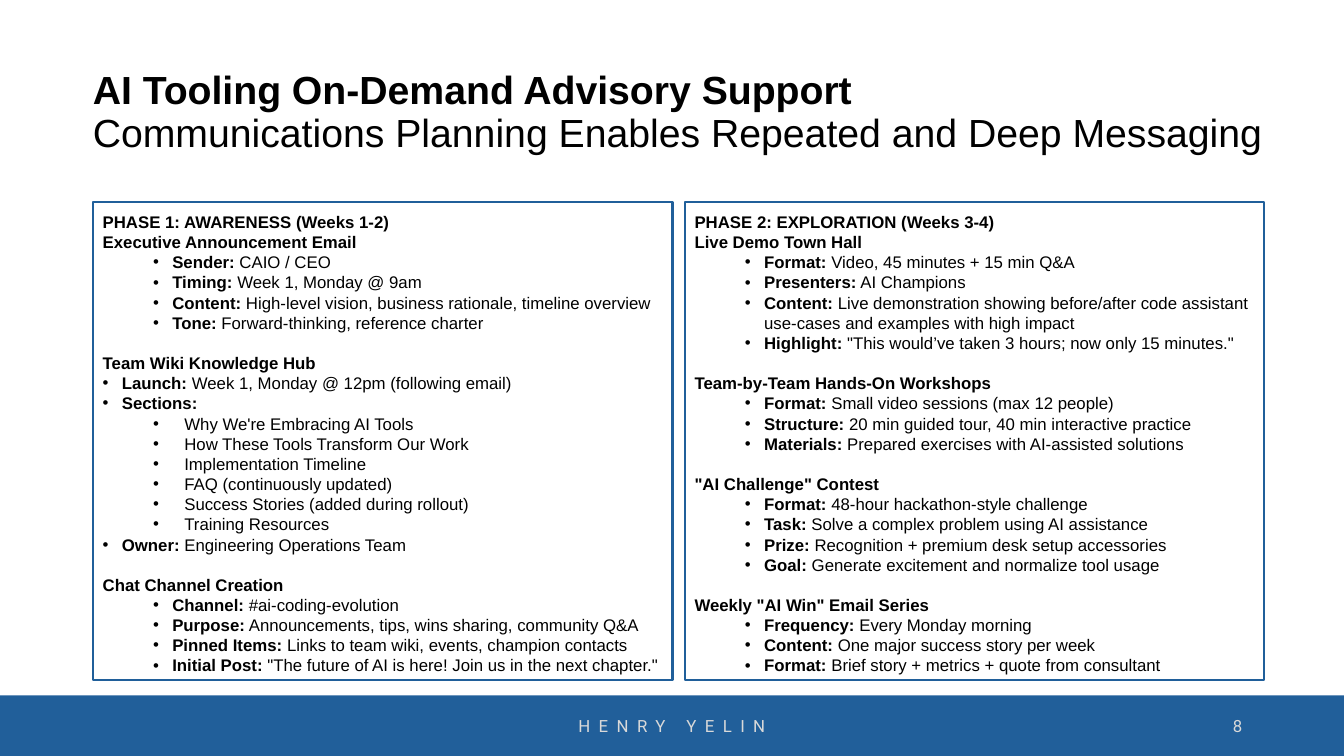
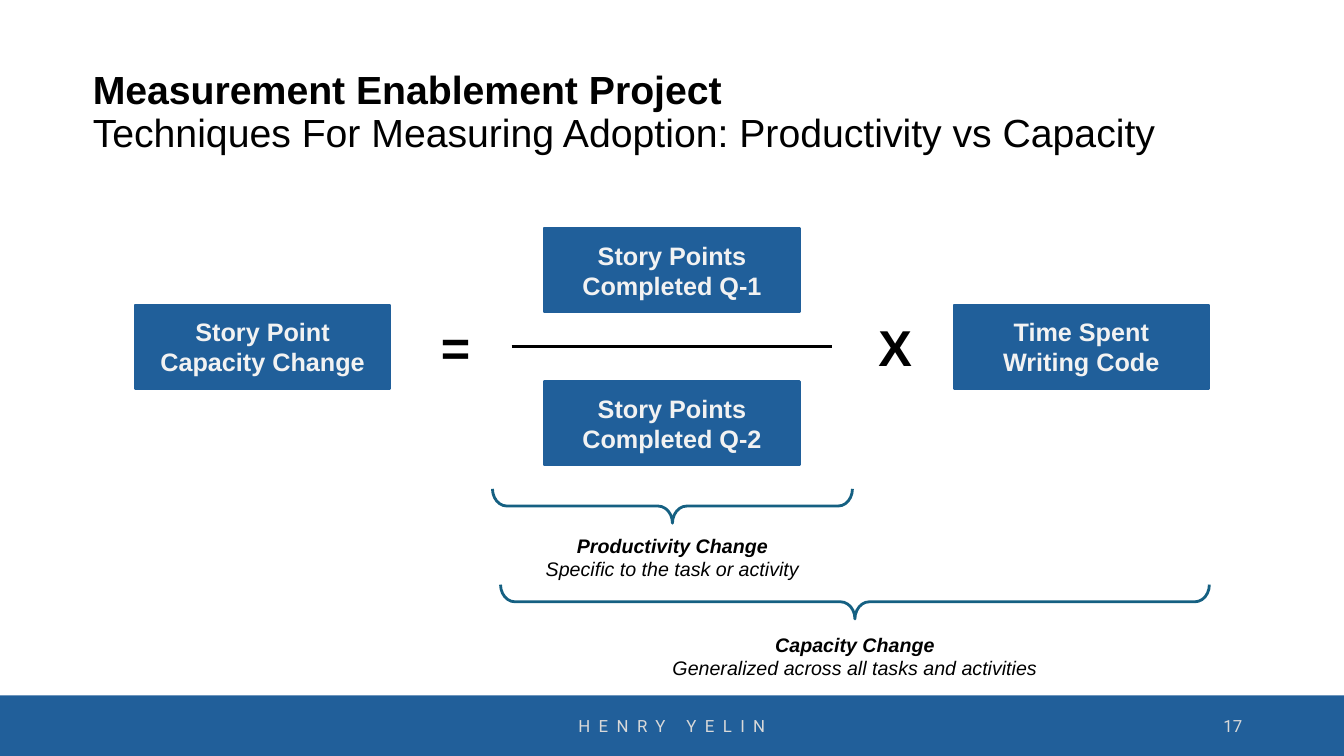
"""Build two slides: a two-phase communications plan and a capacity formula."""
import pptx
import pptx.dml.color
import pptx.enum.shapes
import pptx.enum.text
import pptx.oxml.ns
import pptx.util
from lxml import etree

Inches, Pt = pptx.util.Inches, pptx.util.Pt
SHAPE = pptx.enum.shapes.MSO_SHAPE
ALIGN = pptx.enum.text.PP_ALIGN
ANCHOR = pptx.enum.text.MSO_ANCHOR
qn = pptx.oxml.ns.qn

WIDTH, HEIGHT = 13.33, 7.5
MARGIN = 0.92
COLORS = {"band": "215F9A", "box": "205F9A", "brace": "156082", "black": "000000",
          "footer": "D9D9D9", "box_text": "F2F2F2"}
FOOTER = "HENRY YELIN"

PLAN_TITLE = ("AI Tooling On-Demand Advisory Support",
              "Communications Planning Enables Repeated and Deep Messaging")
INDENTS = {"outer": (0.19, 0.19), "inner": (0.69, 0.19), "nested": (0.81, 0.31)}
PHASES = [
    ("PHASE 1: AWARENESS (Weeks 1-2)", [
        ("Executive Announcement Email", [("inner", [
            "Sender: CAIO / CEO",
            "Timing: Week 1, Monday @ 9am",
            "Content: High-level vision, business rationale, timeline overview",
            "Tone: Forward-thinking, reference charter"])]),
        ("Team Wiki Knowledge Hub", [
            ("outer", ["Launch: Week 1, Monday @ 12pm (following email)", "Sections:"]),
            ("nested", [
                "Why We're Embracing AI Tools",
                "How These Tools Transform Our Work",
                "Implementation Timeline",
                "FAQ (continuously updated)",
                "Success Stories (added during rollout)",
                "Training Resources"]),
            ("outer", ["Owner: Engineering Operations Team"])]),
        ("Chat Channel Creation", [("inner", [
            "Channel: #ai-coding-evolution",
            "Purpose: Announcements, tips, wins sharing, community Q&A",
            "Pinned Items: Links to team wiki, events, champion contacts",
            'Initial Post: "The future of AI is here! Join us in the next chapter."'])]),
    ]),
    ("PHASE 2: EXPLORATION (Weeks 3-4)", [
        ("Live Demo Town Hall", [("inner", [
            "Format: Video, 45 minutes + 15 min Q&A",
            "Presenters: AI Champions",
            "Content: Live demonstration showing before/after code assistant "
            "use-cases and examples with high impact",
            'Highlight: "This would’ve taken 3 hours; now only 15 minutes."'])]),
        ("Team-by-Team Hands-On Workshops", [("inner", [
            "Format: Small video sessions (max 12 people)",
            "Structure: 20 min guided tour, 40 min interactive practice",
            "Materials: Prepared exercises with AI-assisted solutions"])]),
        ('"AI Challenge" Contest', [("inner", [
            "Format: 48-hour hackathon-style challenge",
            "Task: Solve a complex problem using AI assistance",
            "Prize: Recognition + premium desk setup accessories",
            "Goal: Generate excitement and normalize tool usage"])]),
        ('Weekly "AI Win" Email Series', [("inner", [
            "Frequency: Every Monday morning",
            "Content: One major success story per week",
            "Format: Brief story + metrics + quote from consultant"])]),
    ]),
]

FORMULA_TITLE = ("Measurement Enablement Project",
                 "Techniques For Measuring Adoption: Productivity vs Capacity")
TERMS = [("Story Point\vCapacity Change", -1, 0), ("Story Points\vCompleted Q-1", 0, -1),
         ("Story Points\vCompleted Q-2", 0, 1), ("Time Spent\vWriting Code", 1, 0)]
OPERATORS = [("=", 4.52), ("X", 8.88)]
BRACES = [("Productivity Change", "Specific to the task or activity", 6.67, 5.02, 3.57, 0.51),
          ("Capacity Change", "Generalized across all tasks and activities", 8.48, 5.97, 7.03, 0.54)]


def rgb(name):
    return pptx.dml.color.RGBColor.from_string(COLORS[name])


def style(paragraph, size, color="black", bold=None, face="Arial", align=ALIGN.LEFT):
    paragraph.alignment = align
    font = paragraph.font
    font.size, font.name, font.bold = Pt(size), face, bold
    font.color.rgb = rgb(color)


def set_frame(frame, inset=0.1, anchor=ANCHOR.MIDDLE):
    frame.word_wrap = True
    frame.auto_size = pptx.enum.text.MSO_AUTO_SIZE.NONE
    frame.vertical_anchor = anchor
    frame.margin_left = frame.margin_right = Inches(inset)
    frame.margin_top = frame.margin_bottom = Inches(inset)
    return frame


def centered(x, y, width, height):
    return [Inches(v) for v in (x - width / 2, y - height / 2, width, height)]


def add_box(slide, place, kind=SHAPE.RECTANGLE, fill=None, line=None, weight=1.5):
    box = slide.shapes.add_shape(kind, *place)
    box.shadow.inherit = False
    if fill:
        box.fill.solid()
        box.fill.fore_color.rgb = rgb(fill)
    else:
        box.fill.background()
    if line:
        box.line.color.rgb = rgb(line)
        box.line.width = Pt(weight)
    else:
        box.line.fill.background()
    return box


def add_label(slide, place, lines, size, inset=0.1):
    frame = set_frame(slide.shapes.add_textbox(*place).text_frame, inset)
    for index, (text, bold) in enumerate(lines):
        paragraph = frame.paragraphs[0] if index == 0 else frame.add_paragraph()
        paragraph.text = text
        style(paragraph, size, bold=bold, align=ALIGN.CENTER)
        yield paragraph


def add_footer_band(slide):
    place = [Inches(v) for v in (0, HEIGHT * 0.92, WIDTH, HEIGHT * 0.08)]
    band = add_box(slide, place, fill="band")
    paragraph = set_frame(band.text_frame, 0.05).paragraphs[0]
    paragraph.text = FOOTER
    style(paragraph, 12, "footer", face="Roboto", align=ALIGN.CENTER)
    paragraph.runs[0].font._element.set("spc", "600")
    slide.slide_layout.shapes._spTree.append(band._element)


def add_slide(deck, title, number):
    slide = deck.slides.add_slide(deck.slide_layouts[5])
    if len(deck.slides) == 1:
        add_footer_band(slide)
    heading = slide.shapes.title
    heading.left, heading.top, heading.width, heading.height = (
        Inches(v) for v in (MARGIN, 0.4, 11.76, 1.45))
    paragraph = set_frame(heading.text_frame, 0).paragraphs[0]
    paragraph.line_spacing = 0.9
    style(paragraph, 28)
    topic, message = title
    for text, bold in ((topic, True), (message, False)):
        if not bold:
            paragraph.add_line_break()
        run = paragraph.add_run()
        run.text, run.font.bold = text, bold
    place = [Inches(v) for v in (9.42, 7, 3, 0.4)]
    page = set_frame(slide.shapes.add_textbox(*place).text_frame, 0.1).paragraphs[0]
    page.text = str(number)
    style(page, 12, "footer", face="Roboto", align=ALIGN.RIGHT)
    return slide


def add_bullet(frame, text, indent):
    paragraph = frame.add_paragraph()
    left, hanging = INDENTS[indent]
    properties = paragraph._p.get_or_add_pPr()
    properties.set("marL", str(Inches(left)))
    properties.set("indent", str(-Inches(hanging)))
    etree.SubElement(properties, qn("a:buFont")).set("typeface", "Arial")
    etree.SubElement(properties, qn("a:buChar")).set("char", "•")
    style(paragraph, 12)
    label, colon, detail = text.partition(":")
    parts = [(label + colon, True), (detail, False)] if colon else [(text, False)]
    for part, bold in parts:
        if part:
            run = paragraph.add_run()
            run.text, run.font.bold = part, bold


def build_plan(deck):
    slide = add_slide(deck, PLAN_TITLE, 8)
    width, gap = 5.75, 0.12
    for column, (phase, sections) in enumerate(PHASES):
        place = [Inches(v) for v in (MARGIN + column * (width + gap), 2, width, 4.75)]
        panel = add_box(slide, place, line="box")
        frame = set_frame(panel.text_frame, anchor=ANCHOR.TOP)
        frame.paragraphs[0].text = phase
        style(frame.paragraphs[0], 12, bold=True)
        for index, (section, groups) in enumerate(sections):
            heading = frame.add_paragraph()
            heading.text = section
            style(heading, 12, bold=True)
            if index:
                heading.space_before = Pt(14.4)
            for indent, items in groups:
                for item in items:
                    add_bullet(frame, item, indent)


def build_formula(deck):
    slide = add_slide(deck, FORMULA_TITLE, 17)
    center_x, center_y, step_x, step_y = WIDTH / 2, 3.44, 4.06, 0.76
    for term, column, row in TERMS:
        place = centered(center_x + column * step_x, center_y + row * step_y, 2.53, 0.83)
        box = add_box(slide, place, fill="box", line="box")
        paragraph = set_frame(box.text_frame).paragraphs[0]
        paragraph.text = term
        style(paragraph, 18, "box_text", True, align=ALIGN.CENTER)
    for symbol, x in OPERATORS:
        list(add_label(slide, centered(x, center_y, 0.46, 0.54), [(symbol, True)], 36, 0))

    ends = [Inches(v) for v in (center_x - 1.59, center_y, center_x + 1.59, center_y)]
    fraction = slide.shapes.add_connector(pptx.enum.shapes.MSO_CONNECTOR.STRAIGHT, *ends)
    fraction.line.color.rgb = rgb("black")
    fraction.line.width = Pt(2.5)
    etree.SubElement(fraction._element.spPr, qn("a:effectLst"))

    for name, scope, x, y, span, drop in BRACES:
        brace = add_box(slide, centered(x, y, 0.34, span), SHAPE.LEFT_BRACE,
                        line="brace", weight=2)
        brace.rotation = 270
        brace.adjustments[0], brace.adjustments[1] = 0.42, 0.5
        lines = [(name, True), (scope, False)]
        for paragraph in add_label(slide, centered(x, y + drop, 3.93, 0.57), lines, 14):
            paragraph.font.italic = True


def main():
    deck = pptx.Presentation()
    deck.slide_width, deck.slide_height = Inches(WIDTH), Inches(HEIGHT)
    build_plan(deck)
    build_formula(deck)
    deck.save("out.pptx")


if __name__ == "__main__":
    main()
